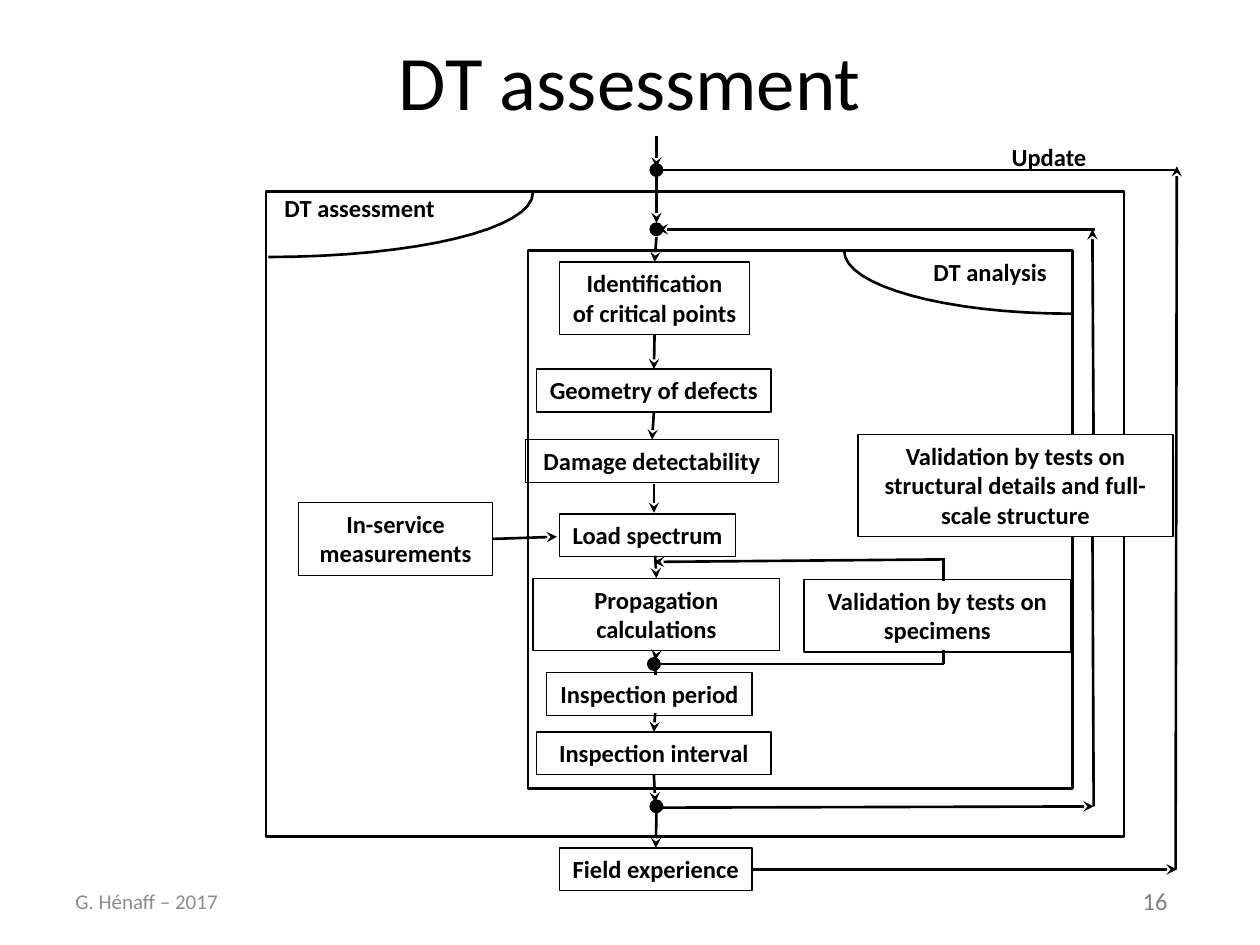
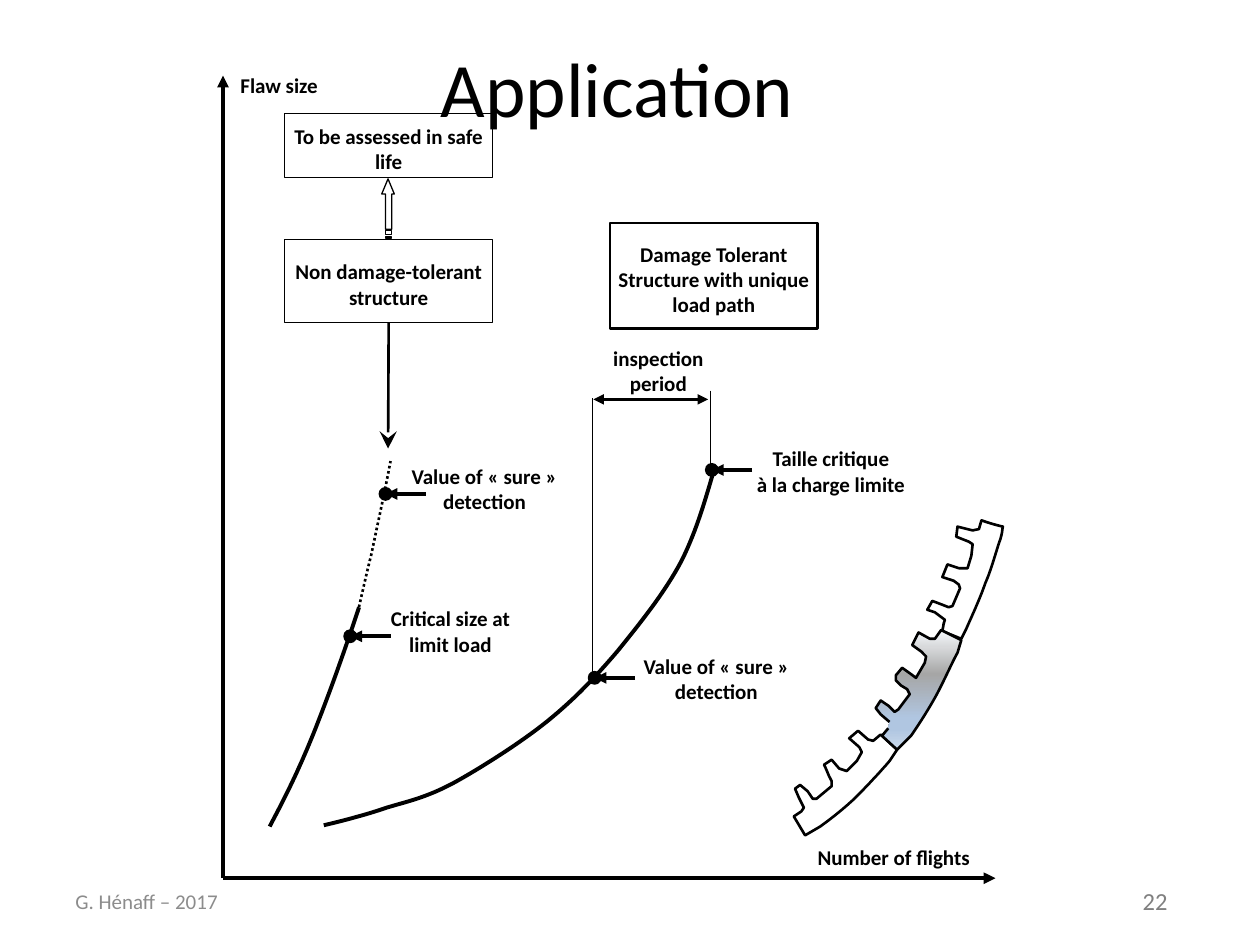
from lxml import etree
from pptx import Presentation
from pptx import util as u
from pptx.dml.color import RGBColor
from pptx.enum import dml, shapes, text
from pptx.oxml.ns import qn

COLORS = {"ink": "000000", "paper": "FFFFFF", "number": "808080", "footer": "8C8C8C"}
PANEL_GRADIENT = [(0, "F6F9FC"), (37, "A6A6A6"), (74, "B0C6E1"), (83, "B0C6E1"), (100, "CAD9EB")]
FONT = "Calibri"
SLIDE_WIDTH, SLIDE_HEIGHT = u.Inches(10), u.Inches(7.5)
CELL = SLIDE_WIDTH / 100  # the grid has 100 columns and 75 rows
SIDES = {"top": 0, "left": 1, "bottom": 2, "right": 3}
LEFT, CENTER = text.PP_ALIGN.LEFT, text.PP_ALIGN.CENTER
TOP, MIDDLE = text.MSO_ANCHOR.TOP, text.MSO_ANCHOR.MIDDLE


def grid(*cells):
    return [u.Emu(round(cell * CELL)) for cell in cells]


def color(name):
    return RGBColor.from_string(COLORS[name])


def write(shape, content, size, bold=True, ink="ink", align=CENTER, wrap=False, anchor=TOP):
    frame = shape.text_frame
    frame.text = content
    frame.word_wrap = wrap
    frame.vertical_anchor = anchor
    for paragraph in frame.paragraphs:
        paragraph.alignment = align
        for run in paragraph.runs:
            run.font.name, run.font.size, run.font.bold = FONT, u.Pt(size), bold
            run.font.color.rgb = color(ink)


def label(slide, content, at, size, **style):
    write(slide.shapes.add_textbox(*grid(*at)), content, size, **style)


def paint(shape, fill=None, weight=0.75):
    shape.shadow.inherit = False
    if fill:
        shape.fill.solid()
        shape.fill.fore_color.rgb = color(fill)
    else:
        shape.fill.background()
    shape.line.color.rgb = color("ink")
    shape.line.width = u.Pt(weight)


def box(slide, at, weight=0.75, fill=None):
    shape = slide.shapes.add_shape(shapes.MSO_SHAPE.RECTANGLE, *grid(*at))
    paint(shape, fill, weight)
    return shape


def step_box(slide, content, left, top, width, lines=1, wrap=False, fill=None):
    shape = box(slide, (left, top, width, 1.05 + 2.35 * lines), fill=fill)
    write(shape, content, 14, wrap=wrap)
    return shape


def structure_box(slide, content, at, weight=0.75):
    shape = box(slide, at, weight)
    write(shape, content, 12, wrap=True, anchor=MIDDLE)
    frame = shape.text_frame
    frame.margin_left = frame.margin_right = u.Inches(0.02)
    frame.margin_top, frame.margin_bottom = u.Inches(0.05), 0
    return shape


def dot(slide, x, y):
    shape = slide.shapes.add_shape(shapes.MSO_SHAPE.OVAL, *grid(x - 0.5, y - 0.5, 1, 1))
    paint(shape, "ink")


def connect(slide, start, end, weight=1.5, head=None, tail=None, size="med"):
    """Draw a line; each end is a grid point or a (shape, side) pair."""
    joined = [isinstance(point[1], str) for point in (start, end)]
    points = [(0, 0) if join else point for join, point in zip(joined, (start, end))]
    connector = slide.shapes.add_connector(
        shapes.MSO_CONNECTOR.STRAIGHT, *grid(*points[0], *points[1]))
    if joined[0]:
        connector.begin_connect(start[0], SIDES[start[1]])
    if joined[1]:
        connector.end_connect(end[0], SIDES[end[1]])
    connector.line.color.rgb = color("ink")
    connector.line.width = u.Pt(weight)
    properties = connector._element.spPr
    for tag, kind in (("a:headEnd", head), ("a:tailEnd", tail)):
        if kind:
            etree.SubElement(properties.find(qn("a:ln")), qn(tag), type=kind, w=size, len=size)
    etree.SubElement(properties, qn("a:effectLst"))


def arrow(slide, start, end):
    connect(slide, start, end, tail="stealth")


def bezier(start, controls, pieces=16):
    anchors = [start, controls[:2], controls[2:4], controls[4:]]
    for piece in range(1, pieces + 1):
        t = piece / pieces
        weights = ((1 - t) ** 3, 3 * t * (1 - t) ** 2, 3 * t * t * (1 - t), t ** 3)
        yield tuple(sum(w * anchor[axis] for w, anchor in zip(weights, anchors)) for axis in (0, 1))


def outline(slide, steps, weight=1.5, fill=None, close=False):
    """Trace steps: a pair is a corner, six numbers are a Bézier curve."""
    points = [steps[0]]
    for step in steps[1:]:
        points.extend([step] if len(step) == 2 else bezier(points[-1], step))
    first, *others = [grid(*point) for point in points]
    builder = slide.shapes.build_freeform(*first, scale=1.0)
    builder.add_line_segments(others, close=close)
    shape = builder.convert_to_shape()
    paint(shape, fill, weight)
    return shape


def shade(shape, stops):
    """Fill from top to bottom with the given (percent, hex) stops."""
    shape.fill.gradient()
    shape.fill.gradient_angle = 270
    stop_list = shape._element.spPr.find(".//" + qn("a:gsLst"))
    for stop in list(stop_list):
        stop_list.remove(stop)
    for percent, value in stops:
        stop = etree.SubElement(stop_list, qn("a:gs"), pos=str(percent * 1000))
        etree.SubElement(stop, qn("a:srgbClr"), val=value)


def new_slide(presentation, title, title_at, number):
    slide = presentation.slides.add_slide(presentation.slide_layouts[6])
    label(slide, number, (89.7, 69.8, 5.3, 3.4), 14, bold=False, ink="number", align=LEFT)
    label(slide, title, (*title_at, 90, 12.5), 44, bold=False, wrap=True, anchor=MIDDLE)
    label(slide, "G. Hénaff – 2017", (5, 69.5, 23.3, 4), 12, bold=False, ink="footer",
          align=LEFT, wrap=True, anchor=MIDDLE)
    return slide


def build_assessment(presentation):
    slide = new_slide(presentation, "DT assessment", (5, 0.1), "16")
    box(slide, (21.1, 15.2, 68.1, 51.2), 1.5)
    box(slide, (41.9, 19.9, 43.2, 42.7), 1.5)
    outline(slide, [(21.3, 20.4), (32.9, 20.4, 42.3, 18.2, 42.3, 15.3)])
    outline(slide, [(85, 24.9), (75.1, 24.9, 67, 22.7, 67, 19.9)])
    label(slide, "DT assessment", (21.6, 14.8, 14, 3.4), 14, align=LEFT)
    label(slide, "DT analysis", (73.1, 19.9, 11.1, 3.4), 14, align=LEFT)
    label(slide, "Update", (79.3, 10.8, 8, 3.4), 14, align=LEFT)

    critical = step_box(slide, "Identification\nof critical points", 44.4, 20.8, 15.1, 2)
    geometry = step_box(slide, "Geometry of defects", 42.6, 29.3, 18.6)
    damage = step_box(slide, "Damage detectability", 41.7, 34.9, 20.1)
    step_box(slide, "Load spectrum", 44.4, 40.8, 14)
    propagation = step_box(slide, "Propagation calculations", 42.3, 45.9, 19.6, 2, wrap=True)
    step_box(slide, "Inspection period", 43.4, 53.4, 16.3)
    interval = step_box(slide, "Inspection interval", 42.6, 58.1, 18.6)
    field = step_box(slide, "Field experience", 44.4, 67.3, 15.3)
    service = step_box(slide, "In-service measurements", 23.7, 39.9, 15.4, 2, wrap=True)
    step_box(slide, "Validation by tests on specimens", 63.8, 46, 21.2, 2, wrap=True)

    for start, end in [
        ((52.1, 10.8), (52.1, 13.3)),
        ((52.1, 13.8), (52.1, 17.7)),
        ((52.1, 18.8), (critical, "top")),
        ((critical, "bottom"), (geometry, "top")),
        ((geometry, "bottom"), (damage, "top")),
        ((51.9, 38.4), (51.9, 40.7)),
        ((service, "right"), (44.2, 42.6)),
        ((52, 44.1), (propagation, "top")),
        ((propagation, "bottom"), (52, 52.4)),
        ((52, 56.6), (interval, "top")),
        ((interval, "bottom"), (52, 63.7)),
        ((52.1, 64.5), (field, "top")),
        ((field, "right"), (93.4, 69)),
        ((93.3, 69), (93.4, 13.2)),
        ((52.3, 64.1), (86.8, 64)),
        ((86.8, 35.9), (86.7, 18.2)),
        ((74.8, 44.4), (51.9, 44.6)),
        ((86.9, 18.2), (52.2, 18.2)),
    ]:
        arrow(slide, start, end)
    for start, end in [
        ((52, 52.7), (52, 53.6)),
        ((52.2, 52.7), (74.9, 52.7)),
        ((74.9, 52.7), (74.9, 51.6)),
        ((74.9, 46.1), (74.9, 44.3)),
        ((86.8, 64), (86.7, 40.5)),
        ((52.1, 13.5), (93.3, 13.5)),
    ]:
        connect(slide, start, end)
    for center in [(52.1, 13.5), (52.1, 18.2), (51.9, 52.7), (52.1, 64)]:
        dot(slide, *center)
    step_box(slide, "Validation by tests on structural details and full-scale structure",
             68.1, 34.5, 25, 3, wrap=True, fill="paper")


def draw_fuselage(slide):
    upper = [(75.9, 42.6), (76, 41.8), (77.2, 42.1), (77.7, 42), (77.9, 41.3),
             (77.9, 41.3, 78.7, 41.6, 79.6, 41.8), (79.5, 42.3, 79.6, 42.1, 79.4, 42.8),
             (79.1, 43.6, 78.7, 45.2, 78.2, 46.3), (77.8, 47.5, 77, 49.2, 76.7, 49.9),
             (76.3, 50.7), (74.8, 50.1), (74.9, 49.5), (75, 49.2), (74.2, 48.6), (73.6, 48.4),
             (74, 47.7), (74.8, 48), (75.3, 48.2), (75.6, 48.1), (76.2, 46.7), (76.1, 46.4),
             (75.7, 46.1), (74.8, 45.8), (75.2, 44.8), (76.1, 45.1), (76.8, 45.1),
             (77.1, 44.1), (77.2, 43.2), (76.9, 43)]
    lower = [(67.4, 58.6), (68.1, 58), (68.9, 58.7), (69.3, 58.8), (69.9, 58.3), (71.2, 59.5),
             (70.6, 60.4), (70.1, 61, 68.9, 62.3, 68, 63.2), (67.1, 64.1, 65.8, 65.1, 65.1, 65.6),
             (63.9, 66.3), (63, 64.8), (63.6, 64.4), (63.8, 64.1), (63.4, 63.3), (63.1, 62.6),
             (63.5, 62.3), (64.1, 62.8), (64.5, 63.4), (64.8, 63.4), (66, 62.4), (66, 62),
             (65.8, 61.6), (65.5, 60.9), (65.4, 60.7), (66, 60.3), (66.6, 61), (67.2, 61.2),
             (68, 60.4), (68.4, 59.7), (68.2, 59.3)]
    middle = [(70.6, 57.3), (69.9, 56.7), (69.5, 56.2), (69.9, 55.6), (70.2, 55.8), (70.5, 56),
              (71, 56.5), (71.3, 56.3), (72.2, 55.1), (72, 54.7), (71.5, 54.4), (71.1, 54),
              (71.1, 53.6), (71.6, 53), (72.3, 53.5), (72.7, 53.8), (73.4, 52.6), (73.5, 52.1),
              (73.1, 51.7), (72.4, 51.2), (72.9, 50.2), (73.8, 50.7), (74.2, 50.7), (74.7, 50),
              (76.3, 50.8), (76, 51.8), (75.6, 52.5, 74.9, 54.1, 74.3, 55.2),
              (73.7, 56.3, 72.8, 57.7, 72.3, 58.4), (71.2, 59.5), (70, 58.4), (70.5, 57.8)]
    for panel in (upper, lower):
        outline(slide, panel, fill="paper", close=True)
    shade(outline(slide, middle), PANEL_GRADIENT)


def build_application(presentation):
    slide = new_slide(presentation, "Application", (4, 0.6), "22")
    origin = (17.7, 69.7)
    for axis_end in [(17.7, 6), (79, 69.7)]:
        connect(slide, origin, axis_end, 2.25, tail="triangle")
    label(slide, "Number of flights", (63.9, 66.5, 14.3, 3), 12, align=LEFT)
    label(slide, "Flaw size", (18.1, 5.3, 8.2, 3), 12, align=LEFT)

    structure_box(slide, "To be assessed in safe life", (22.6, 9, 16.5, 5.1))
    intolerant = structure_box(slide, "Non damage-tolerant structure", (22.6, 19, 16.5, 6.6))
    structure_box(slide, "Damage Tolerant Structure with unique load path",
                  (48.4, 17.7, 16.5, 8.4), 1.5)
    outline(slide, [(30.3, 15.4), (30.6, 15.4), (30.6, 18.2), (31.1, 18.2), (31.1, 15.4),
                    (31.3, 15.4), (30.8, 14.2)], 0.75, close=True)
    for top, height in [(18.3, 0.3), (18.8, 0.1)]:
        box(slide, (30.6, top, 0.5, height))
    connect(slide, (intolerant, "bottom"), (30.8, 35.6), tail="stealth", size="lg")

    outline(slide, [(21.4, 65.6), (22.4, 63.7, 23.4, 61.8, 24.6, 58.9),
                    (25.8, 56, 27.2, 52.1, 28.5, 48.2)], 2.25)
    dotted = outline(slide, [(28.4, 48.6), (28.7, 47.3, 29, 45.9, 29.5, 43.9),
                             (29.9, 41.9, 30.5, 39.3, 31, 36.6)])
    dotted.line.dash_style = dml.MSO_LINE.ROUND_DOT
    outline(slide, [(25.7, 65.5), (26.6, 65.3, 29, 64.7, 30.7, 64.1),
                    (32.4, 63.6, 33.8, 63.3, 35.9, 62.2), (38.1, 61, 41.4, 58.9, 43.5, 57.2),
                    (45.7, 55.4, 47.2, 53.8, 49, 51.7), (50.7, 49.6, 52.8, 47, 54.1, 44.5),
                    (55.3, 42.1, 56, 39.6, 56.7, 37.2)], 2.25)

    for x, y, content, left, top, width in [
        (30.6, 39.2, "Value of « sure » detection", 31, 36.3, 14.9),
        (27.8, 50.5, "Critical size at limit load", 28.3, 47.6, 14.9),
        (47.2, 53.8, "Value of « sure » detection", 49.4, 51.4, 14.9),
        (56.5, 37.3, "Taille critique\nà la charge limite", 58.8, 34.9, 14.3),
    ]:
        connect(slide, (x + 3.2, y), (x, y), 2.25, tail="triangle")
        dot(slide, x, y)
        label(slide, content, (left, top, width, 5), 12, wrap="\n" not in content)

    connect(slide, (47, 31.6), (47, 53.6), 0.75)
    connect(slide, (56.4, 31), (56.4, 37.4), 0.25)
    connect(slide, (47.1, 31.7), (56.2, 31.7), head="triangle", tail="triangle")
    label(slide, "inspection period", (46, 26.9, 12.5, 5), 12, wrap=True)
    draw_fuselage(slide)


def main():
    presentation = Presentation()
    presentation.slide_width, presentation.slide_height = SLIDE_WIDTH, SLIDE_HEIGHT
    build_assessment(presentation)
    build_application(presentation)
    presentation.save("out.pptx")


if __name__ == "__main__":
    main()
